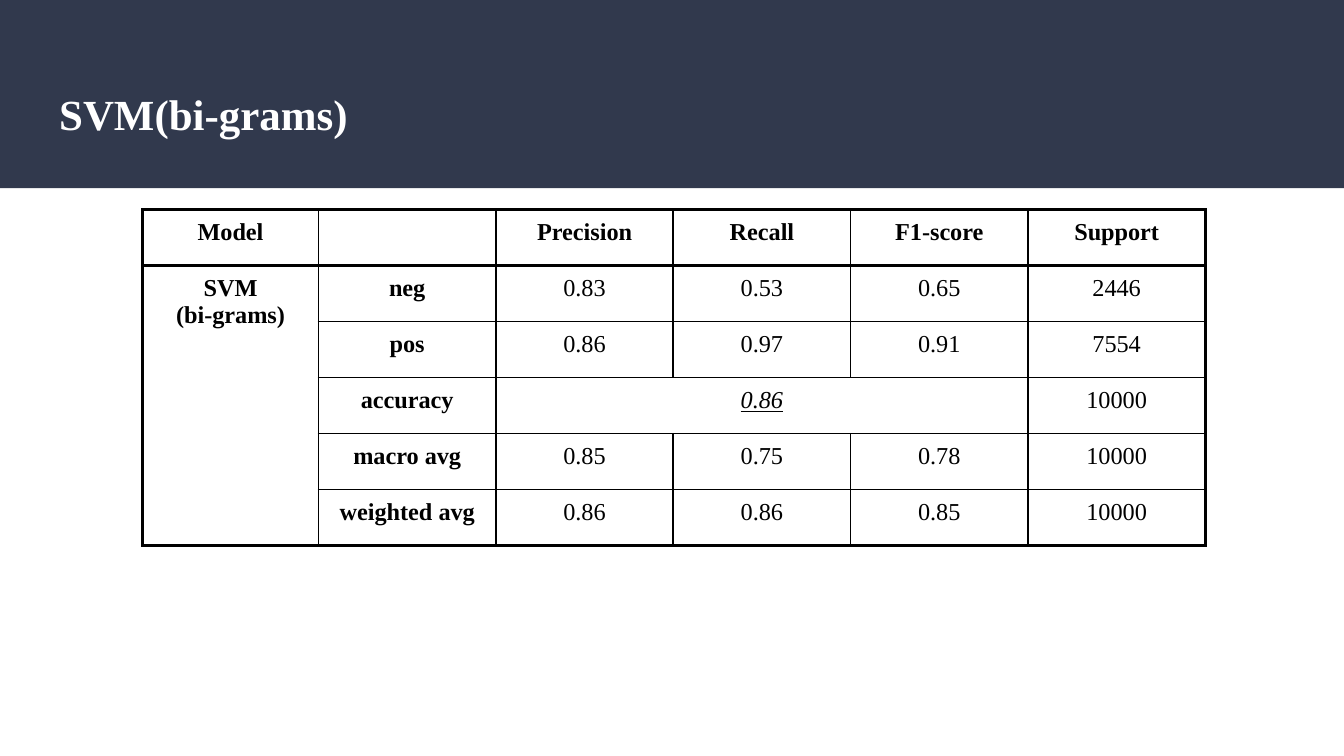
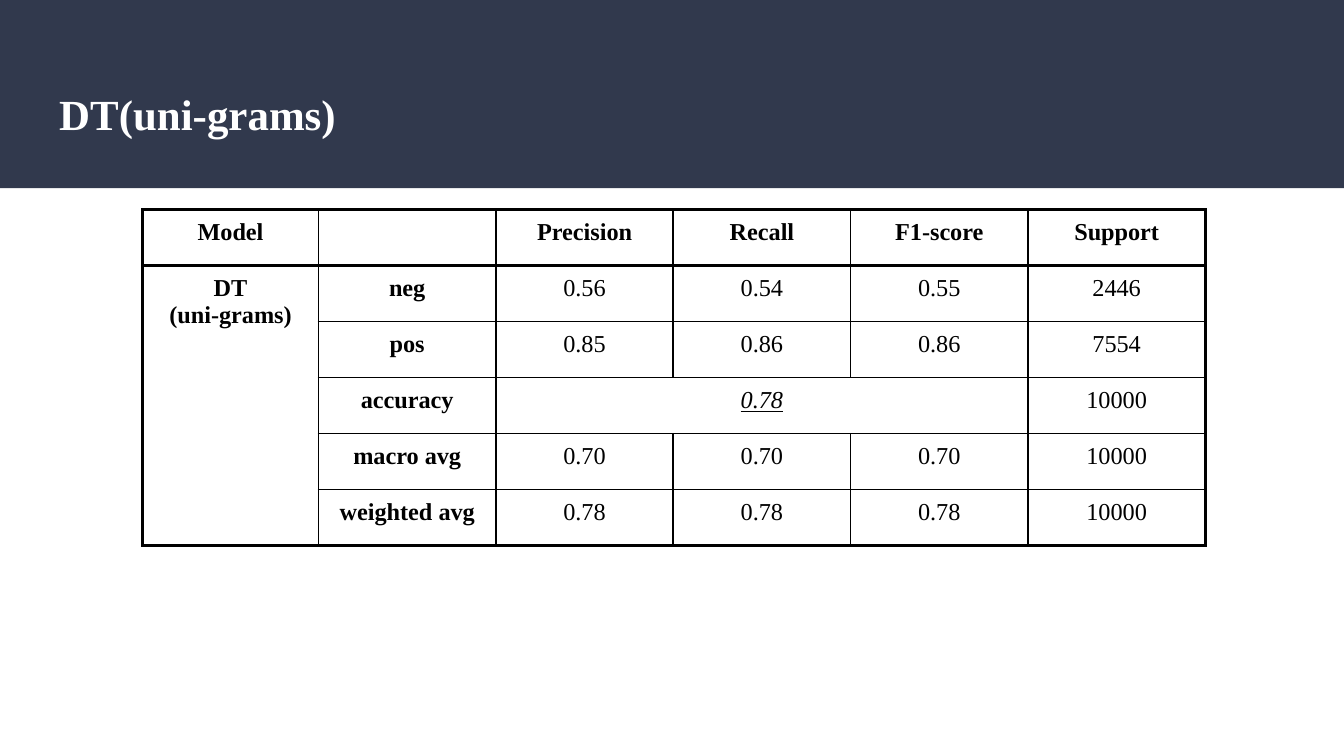
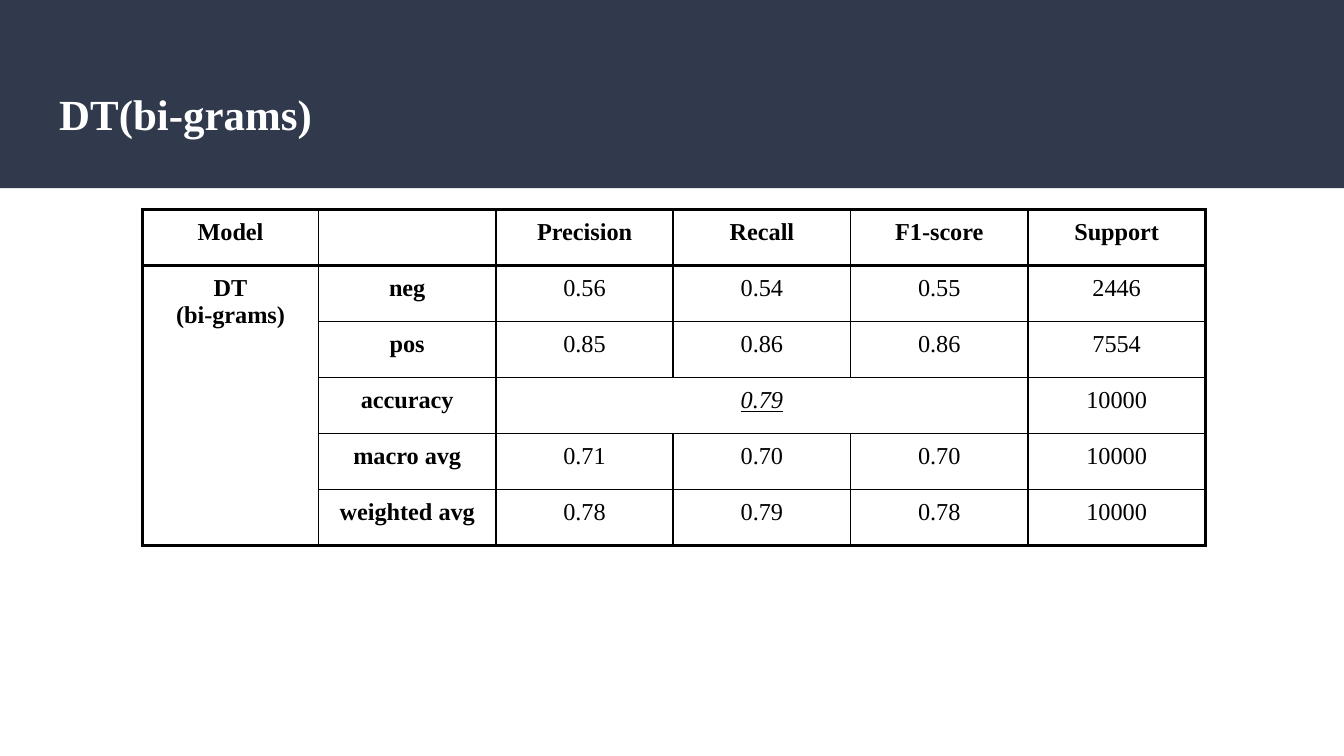
from pptx import Presentation
from pptx.dml.color import RGBColor
from pptx.enum import shapes, text
from pptx.oxml import parse_xml
from pptx.oxml.ns import nsdecls
from pptx.util import Inches, Pt

FONT = "Times New Roman"
NAVY, WHITE, BLACK = "31394D", "FFFFFF", "000000"
SLIDE_W = 10
SLIDE_H = SLIDE_W * 9 / 16
BAND_BOX = (0, 0, SLIDE_W, 1.4)
TITLE_BOX = (0.34, 0.55, 9.32, 0.68)
TABLE_BOX = (1.06, 1.56, 7.91, 2.5)
COLUMN_W = 1.32
HEADER = ["Model", "", "Precision", "Recall", "F1-score", "Support"]
ROW_NAMES = ["neg", "pos", "accuracy", "macro avg", "weighted avg"]
SUPPORT = ["2446", "7554", "10000", "10000", "10000"]
ACCURACY_ROW = 3

# Model, n-gram type, then precision, recall and F1-score by row; accuracy is one value.
RESULTS = [
    ("SVM", "(bi-grams)", ["0.83 0.53 0.65", "0.86 0.97 0.91", "0.86",
                           "0.85 0.75 0.78", "0.86 0.86 0.85"]),
    ("DT", "(uni-grams)", ["0.56 0.54 0.55", "0.85 0.86 0.86", "0.78",
                           "0.70 0.70 0.70", "0.78 0.78 0.78"]),
    ("DT", "(bi-grams)", ["0.56 0.54 0.55", "0.85 0.86 0.86", "0.79",
                          "0.71 0.70 0.70", "0.78 0.79 0.78"]),
]


def color(hex_code):
    return RGBColor.from_string(hex_code)


def inches(box):
    return [Inches(v) for v in box]


def style_run(r, size, hex_code, bold):
    r.font.name = FONT
    r.font.size = Pt(size)
    r.font.bold = bold
    r.font.color.rgb = color(hex_code)


def add_band(s, box):
    """Draw the title band and move it to the layout, behind the titles."""
    band = s.shapes.add_shape(shapes.MSO_SHAPE.RECTANGLE, *inches(box))
    band.shadow.inherit = False
    band.fill.solid()
    band.fill.fore_color.rgb = color(NAVY)
    band.line.fill.background()
    s.slide_layout.shapes._spTree.insert(2, band._element)


def set_title(s, box, words):
    title = s.shapes.title
    title.left, title.top, title.width, title.height = inches(box)
    tf = title.text_frame
    tf.text = words
    tf.word_wrap = True
    tf.vertical_anchor = text.MSO_ANCHOR.TOP
    tf.margin_left = tf.margin_right = tf.margin_top = tf.margin_bottom = Inches(0.1)
    p = tf.paragraphs[0]
    p.alignment = text.PP_ALIGN.LEFT
    style_run(p.runs[0], 23, WHITE, True)


def set_borders(cell, thick_sides):
    tc_pr = cell._tc.get_or_add_tcPr()
    for side in "LRTB":
        width = Pt(1.5 if side in thick_sides else 1)
        tc_pr.append(parse_xml(
            f'<a:ln{side} {nsdecls("a")} w="{width}"><a:solidFill>'
            f'<a:srgbClr val="{BLACK}"/></a:solidFill></a:ln{side}>'))


def fill_cell(cell, words, bold, space_after, accent):
    cell.margin_left = cell.margin_right = Inches(0.07)
    cell.margin_top = cell.margin_bottom = Inches(0.07)
    cell.fill.background()
    cell.text_frame.text = words
    for p in cell.text_frame.paragraphs:
        p.alignment = text.PP_ALIGN.CENTER
        p.space_after = Pt(space_after)
        for r in p.runs:
            style_run(r, 13, BLACK, bold)
            if accent:
                r.font.italic = r.font.underline = True
        if not p.runs:
            p._p.get_or_add_endParaRPr().set("sz", "1300")


def score_rows(model, grams, scores):
    rows = [HEADER]
    for i, (name, values, support) in enumerate(zip(ROW_NAMES, scores, SUPPORT)):
        cells = (values.split() + ["", ""])[:3]
        rows.append([f"{model}\n{grams}" if i == 0 else "", name, *cells, support])
    return rows


def add_score_table(s, box, rows):
    last_row, last_col = len(rows) - 1, len(HEADER) - 1
    table = s.shapes.add_table(len(rows), len(HEADER), *inches(box)).table
    table.first_row = table.horz_banding = False
    for row in table.rows:
        row.height = Inches(box[3] / len(rows))
    for column in table.columns:
        column.width = Inches(COLUMN_W)
    table.columns[0].width = Inches(box[2] - last_col * COLUMN_W)
    table.cell(1, 0).merge(table.cell(last_row, 0))
    table.cell(ACCURACY_ROW, 2).merge(table.cell(ACCURACY_ROW, 4))

    for i, row in enumerate(rows):
        for j, words in enumerate(row):
            cell = table.cell(i, j)
            bottom = i + cell.span_height - 1 if cell.is_merge_origin else i
            edges = {"L": j == 0, "R": j == last_col,
                     "T": i <= 1, "B": bottom in (0, last_row)}
            set_borders(cell, [side for side, thick in edges.items() if thick])
            fill_cell(cell, words, bold=i == 0 or j <= 1,
                      space_after=16 if j else 0,
                      accent=(i, j) == (ACCURACY_ROW, 2))


def main():
    prs = Presentation()
    prs.slide_width, prs.slide_height = Inches(SLIDE_W), Inches(SLIDE_H)
    layout = prs.slide_layouts.get_by_name("Title Only")
    for number, (model, grams, scores) in enumerate(RESULTS):
        s = prs.slides.add_slide(layout)
        if number == 0:
            add_band(s, BAND_BOX)
        set_title(s, TITLE_BOX, model + grams)
        add_score_table(s, TABLE_BOX, score_rows(model, grams, scores))
    prs.save("out.pptx")


if __name__ == "__main__":
    main()
